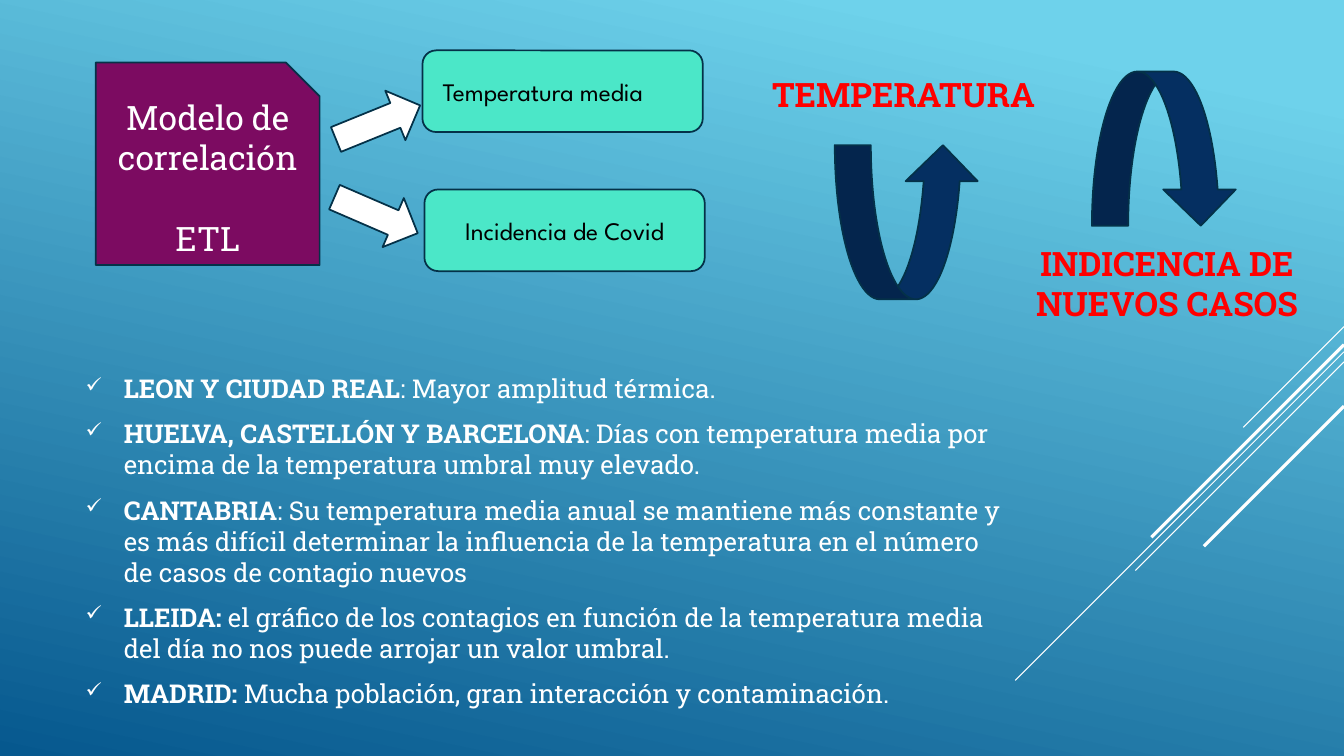
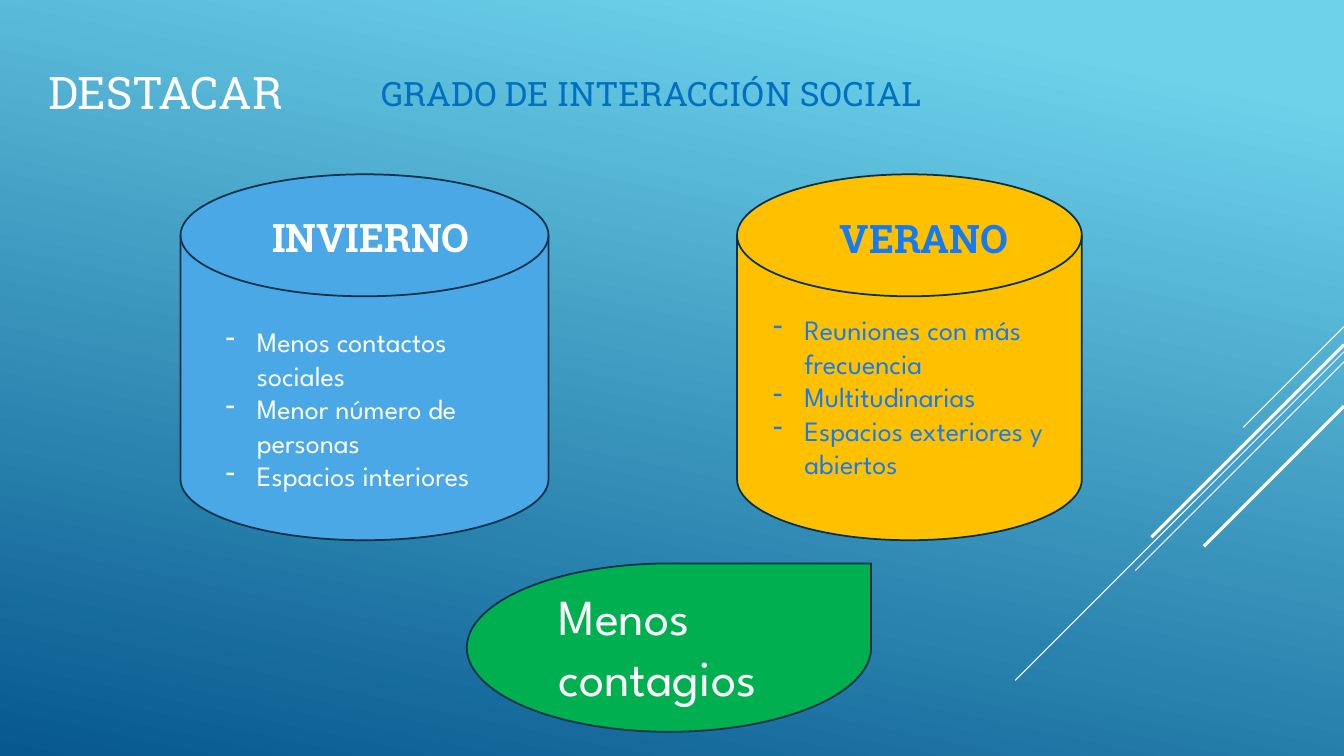
from lxml.etree import SubElement
from pptx import Presentation
from pptx.dml.color import RGBColor
from pptx.enum.shapes import MSO_CONNECTOR, MSO_SHAPE as SHAPE
from pptx.enum.text import MSO_ANCHOR as ANCHOR, PP_ALIGN as ALIGN
from pptx.oxml.ns import qn
from pptx.util import Inches, Pt

WHITE = RGBColor(0xFF, 0xFF, 0xFF)
BLACK = RGBColor(0x00, 0x00, 0x00)
SKY = RGBColor(0x6E, 0xD2, 0xEB)
DEEP = RGBColor(0x06, 0x58, 0x8E)
OUTLINE = RGBColor(0x04, 0x31, 0x48)
NAVY = RGBColor(0x05, 0x2F, 0x61)
PURPLE = RGBColor(0x7C, 0x0B, 0x61)
MINT = RGBColor(0x4B, 0xE7, 0xC8)
RED = RGBColor(0xFF, 0x00, 0x00)
BLUE = RGBColor(0x00, 0x70, 0xC0)
AZURE = RGBColor(0x16, 0x7B, 0xF3)
WINTER = RGBColor(0x4A, 0xA8, 0xE7)
AMBER = RGBColor(0xFF, 0xC0, 0x00)
GREEN = RGBColor(0x00, 0xB0, 0x50)
SLAB, SPARTAN = "Roboto Slab", "League Spartan"

WIDTH, HEIGHT = 13.33, 7.5
STREAKS = [
    (3.24, 1.0, 0.75), (3.49, 3.26, 0.75), (3.59, 2.07, 0.75),
    (3.42, 1.91, 2.25), (4.03, 1.39, 2.25),
]

FINDINGS = [
    ("LEON Y CIUDAD REAL", ": Mayor amplitud térmica."),
    ("HUELVA, CASTELLÓN Y BARCELONA",
     ": Días con temperatura media por encima de la temperatura umbral muy elevado."),
    ("CANTABRIA",
     ": Su temperatura media anual se mantiene más constante y es más difícil "
     "determinar la influencia de la temperatura en el número de casos de contagio nuevos"),
    ("LLEIDA: ",
     "el gráfico de los contagios en función de la temperatura media del día "
     "no nos puede arrojar un valor umbral."),
    ("MADRID: ", "Mucha población, gran interacción y contaminación."),
]
OUTPUTS = [
    ("Temperatura media", (4.19, 0.5, 2.78, 0.81), ALIGN.LEFT),
    ("Incidencia de Covid", (4.21, 1.88, 2.78, 0.81), ALIGN.CENTER),
]
ARROWS = [
    (SHAPE.CURVED_UP_ARROW, (8.28, 1.44, 1.43, 1.53), NAVY, 0),
    (SHAPE.CURVED_DOWN_ARROW, (10.83, 0.71, 1.44, 1.53), NAVY, 0),
    (SHAPE.RIGHT_ARROW, (3.3, 0.95, 0.9, 0.53), WHITE, 337.9),
    (SHAPE.RIGHT_ARROW, (3.28, 1.87, 0.9, 0.53), WHITE, 23.4),
]
TRENDS = [
    ("TEMPERATURA", (7.56, 0.68, 3.08, 0.5), ALIGN.LEFT),
    ("INDICENCIA DE NUEVOS CASOS", (10.08, 2.36, 2.99, 0.91), ALIGN.CENTER),
]
SEASONS = [
    dict(name="VERANO", fill=AMBER, color=AZURE,
         disk=(7.31, 1.73, 3.42, 3.63), head=(8.23, 2.08, 2.42, 0.57),
         body=(7.57, 3.05, 3.07, 1.78),
         points=["Reuniones con más frecuencia", "Multitudinarias",
                 "Espacios exteriores y abiertos"]),
    dict(name="INVIERNO", fill=WINTER, color=WHITE,
         disk=(1.79, 1.73, 3.65, 3.63), head=(2.6, 2.07, 2.59, 0.57),
         body=(2.14, 3.17, 3.07, 1.78),
         points=["Menos contactos sociales", "Menor número de personas",
                 "Espacios interiores"]),
]


def inches(box):
    return [Inches(v) for v in box]


def add_bullet(p, char, indent, percent):
    pPr = p._p.get_or_add_pPr()
    pPr.set("marL", str(Inches(indent)))
    pPr.set("indent", str(-Inches(indent)))
    if percent:
        SubElement(pPr, qn("a:buSzPct")).set("val", str(percent * 1000))
    SubElement(pPr, qn("a:buChar")).set("char", char)


def write(tf, paras, size=24, font=SLAB, color=WHITE, bold=False, align=ALIGN.LEFT,
          anchor=ANCHOR.TOP, before=0, after=0, bullet=None, indent=0, percent=None):
    tf.word_wrap = True
    tf.vertical_anchor = anchor
    for i, para in enumerate(paras):
        p = tf.paragraphs[0] if i == 0 else tf.add_paragraph()
        p.alignment = align
        p.space_before, p.space_after = Pt(before), Pt(after)
        if bullet:
            add_bullet(p, bullet, indent, percent)
        runs = [(para, bold)] if isinstance(para, str) else zip(para, (True, False))
        for text, strong in runs:
            r = p.add_run()
            r.text = text
            r.font.name, r.font.size, r.font.bold = font, Pt(size), strong
            r.font.color.rgb = color
    return tf


def add_text(s, box, paras, **style):
    return write(s.shapes.add_textbox(*inches(box)).text_frame, paras, **style)


def add_shape(s, kind, box, fill, rotation=0):
    sp = s.shapes.add_shape(kind, *inches(box))
    sp.shadow.inherit = False
    sp.fill.solid()
    sp.fill.fore_color.rgb = fill
    sp.line.color.rgb = OUTLINE
    sp.line.width = Pt(1.25)
    sp.rotation = rotation
    return sp


def add_slide(prs):
    s = prs.slides.add_slide(prs.slide_layouts[6])
    fill = s.background.fill
    fill.gradient()
    fill.gradient_angle = 258
    for stop, color, position in zip(fill.gradient_stops, (SKY, DEEP), (0.1, 1)):
        stop.color.rgb = color
        stop.position = position
    for top, reach, weight in STREAKS:
        ends = inches((WIDTH, top, WIDTH - reach, top + reach))
        line = s.shapes.add_connector(MSO_CONNECTOR.STRAIGHT, *ends)
        line.line.color.rgb = WHITE
        line.line.width = Pt(weight)
        SubElement(line._element.spPr, qn("a:effectLst"))
    return s


def build_model(prs):
    s = add_slide(prs)
    add_text(s, (0.75, 3.54, 9.34, 3.65), FINDINGS, size=18.5, anchor=ANCHOR.MIDDLE,
             before=4, after=6, bullet="✓", indent=0.38, percent=80)
    add_shape(s, SHAPE.SNIP_1_RECTANGLE, (0.95, 0.62, 2.22, 2.01), PURPLE)
    tf = add_text(s, (0.95, 0.91, 2.22, 1.72), ["Modelo de correlación", "ETL"],
                  align=ALIGN.CENTER)
    tf.paragraphs[1].space_before = Pt(29)
    for text, box, align in TRENDS:
        add_text(s, box, [text], color=RED, bold=True, align=align)
    for text, box, align in OUTPUTS:
        tf = add_shape(s, SHAPE.ROUNDED_RECTANGLE, box, MINT).text_frame
        write(tf, [text], size=18, font=SPARTAN, color=BLACK, align=align,
              anchor=ANCHOR.MIDDLE)
        if align == ALIGN.LEFT:
            tf.margin_left = Inches(0.16)
    for arrow in ARROWS:
        add_shape(s, *arrow)


def build_seasons(prs):
    s = add_slide(prs)
    add_text(s, (0.38, 0.53, 2.78, 0.76), ["DESTACAR"], size=32, anchor=ANCHOR.MIDDLE)
    add_text(s, (3.68, 0.29, 6.29, 1.26), ["GRADO DE INTERACCIÓN SOCIAL"],
             color=BLUE, anchor=ANCHOR.MIDDLE, before=5, after=6)
    for season in SEASONS:
        color = season["color"]
        add_shape(s, SHAPE.FLOWCHART_MAGNETIC_DISK, season["disk"], season["fill"])
        add_text(s, season["head"], [season["name"]], size=28, color=color, bold=True)
        add_text(s, season["body"], season["points"], size=20, font=SPARTAN,
                 color=color, bullet="-", indent=0.31)
    add_shape(s, SHAPE.TEAR, (4.63, 5.59, 4.01, 1.67), GREEN)
    add_text(s, (5.44, 5.76, 3.07, 1.31), ["Menos", "contagios"], size=36, font=SPARTAN)


def main():
    prs = Presentation()
    prs.slide_width, prs.slide_height = Inches(WIDTH), Inches(HEIGHT)
    build_model(prs)
    build_seasons(prs)
    prs.save("out.pptx")


if __name__ == "__main__":
    main()
